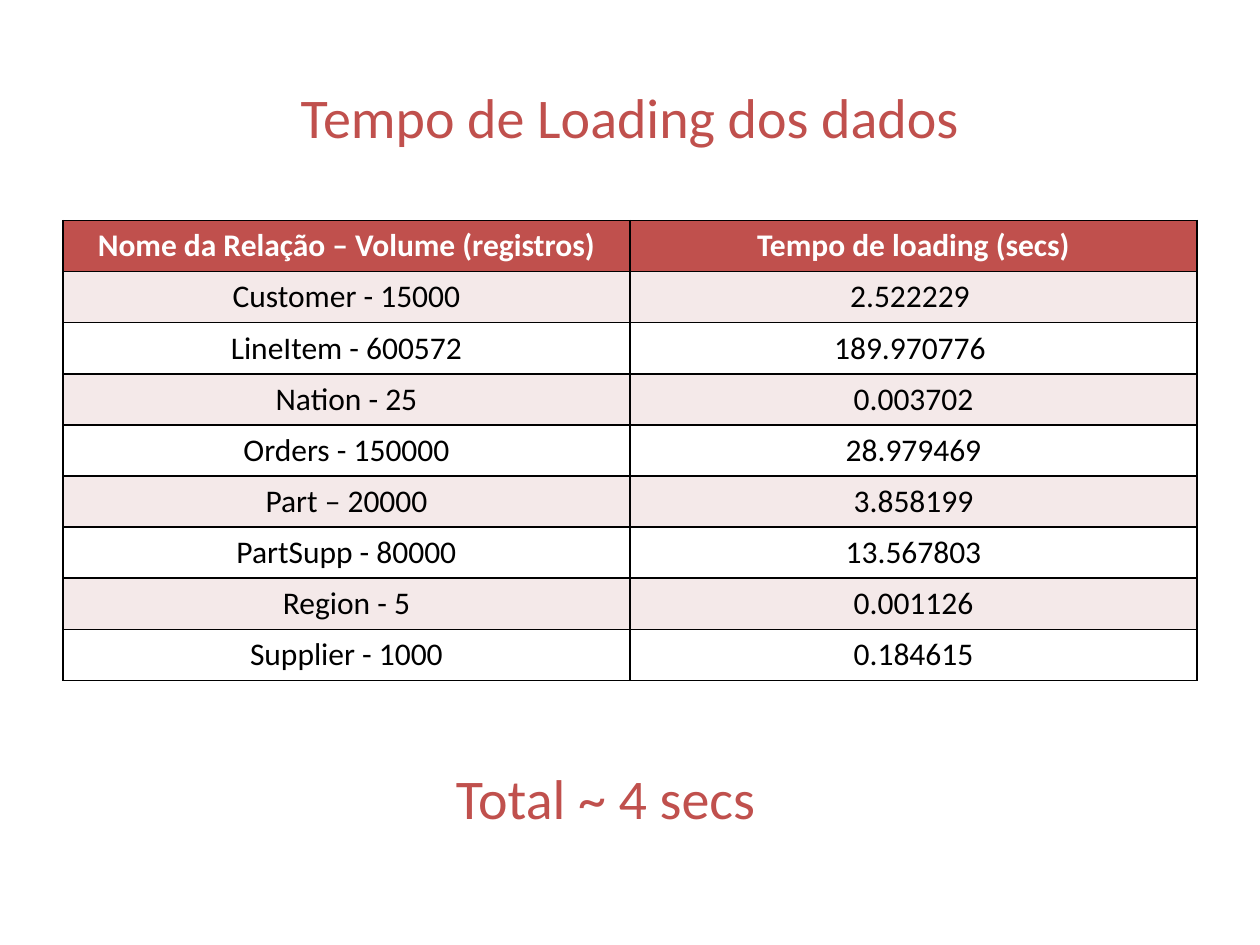
from dataclasses import dataclass

from lxml.etree import SubElement
from pptx import Presentation
from pptx.dml.color import RGBColor
from pptx.enum.text import MSO_ANCHOR as Anchor, MSO_AUTO_SIZE as AutoSize, PP_ALIGN as Align
from pptx.oxml.ns import qn
from pptx.util import Pt


@dataclass(frozen=True)
class Theme:
    font: str = "Calibri"
    accent: str = "C0504D"
    band: str = "F4E9E9"
    paper: str = "FFFFFF"
    ink: str = "000000"
    heading_size: float = 32
    table_size: float = 18
    border_width: float = 1


@dataclass(frozen=True)
class Loading:
    relation: str
    seconds: str


THEME = Theme()
HEADER = Loading("Nome da Relação – Volume (registros)", "Tempo de loading (secs)")
LOADINGS = [
    Loading("Customer - 15000", "2.522229 "),
    Loading("LineItem - 600572", "189.970776 "),
    Loading("Nation - 25", "0.003702"),
    Loading("Orders - 150000", "28.979469"),
    Loading("Part – 20000", "3.858199"),
    Loading("PartSupp - 80000", "13.567803"),
    Loading("Region - 5", "0.001126"),
    Loading("Supplier - 1000", "0.184615"),
]
ROW_HEIGHT = 29.2
COLUMN_WIDTH = 324


def apply(target, formats: dict) -> None:
    for name, value in formats.items():
        setattr(target, name, value)


def write(frame, text: str, size: float, color: str, align: Align, bold: bool = False) -> None:
    paragraph = frame.paragraphs[0]
    paragraph.alignment = align
    run = paragraph.add_run()
    run.text = text
    apply(run.font, {"name": THEME.font, "size": Pt(size), "bold": bold})
    run.font.color.rgb = RGBColor.from_string(color)


def add_borders(cell) -> None:
    properties = cell._tc.get_or_add_tcPr()
    for side in ("a:lnL", "a:lnR", "a:lnT", "a:lnB"):
        line = SubElement(properties, qn(side), w=str(Pt(THEME.border_width)))
        SubElement(SubElement(line, qn("a:solidFill")), qn("a:srgbClr"), val=THEME.ink)


def fill_cell(cell, text: str, fill: str, color: str, bold: bool) -> None:
    add_borders(cell)
    cell.fill.solid()
    cell.fill.fore_color.rgb = RGBColor.from_string(fill)
    write(cell.text_frame, text, THEME.table_size, color, Align.CENTER, bold)


def add_loading_table(slide) -> None:
    rows = [HEADER, *LOADINGS]
    table = slide.shapes.add_table(
        len(rows), 2, Pt(36), Pt(126), Pt(2 * COLUMN_WIDTH), Pt(ROW_HEIGHT * len(rows))
    ).table
    for column in table.columns:
        column.width = Pt(COLUMN_WIDTH)
    for index, loading in enumerate(rows):
        table.rows[index].height = Pt(ROW_HEIGHT)
        is_header = index == 0
        banding = THEME.band if index % 2 else THEME.paper
        fill = THEME.accent if is_header else banding
        color = THEME.paper if is_header else THEME.ink
        for column, text in enumerate((loading.relation, loading.seconds)):
            fill_cell(table.cell(index, column), text, fill, color, is_header)


deck = Presentation()
apply(deck, {"slide_width": Pt(720), "slide_height": Pt(540)})
slide = deck.slides.add_slide(deck.slide_layouts[5])

title = slide.shapes.title
apply(title, {"left": Pt(36), "top": Pt(21.6), "width": Pt(648), "height": Pt(90)})
title.text_frame.vertical_anchor = Anchor.MIDDLE
write(title.text_frame, "Tempo de Loading dos dados", THEME.heading_size, THEME.accent, Align.CENTER)

add_loading_table(slide)

total = slide.shapes.add_textbox(Pt(253.4), Pt(432.7), Pt(226), Pt(46))
apply(total.text_frame, {"word_wrap": True, "auto_size": AutoSize.SHAPE_TO_FIT_TEXT})
write(total.text_frame, "Total ~ 4 secs", THEME.heading_size, THEME.accent, Align.LEFT)

deck.save("out.pptx")
